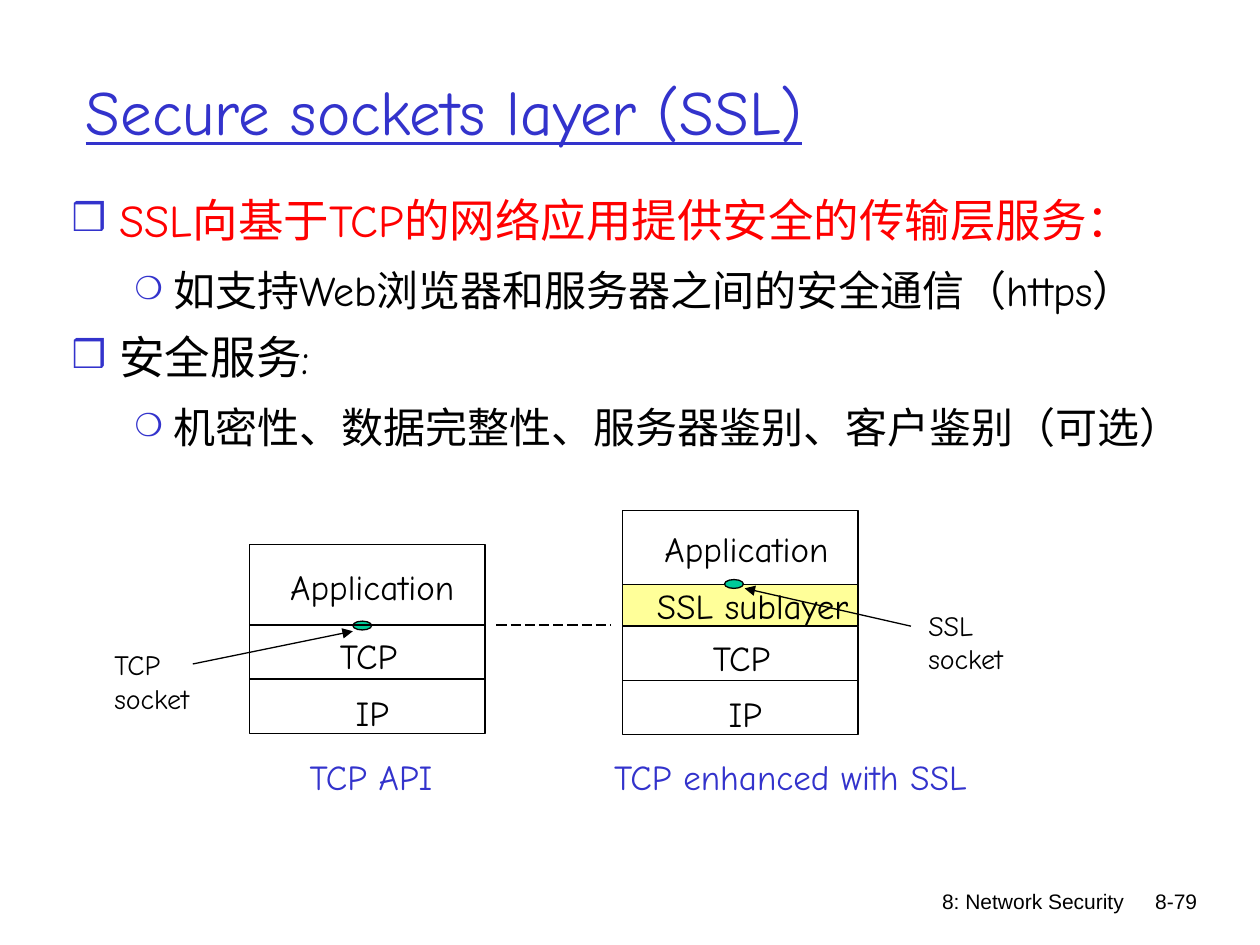
from lxml import etree
from pptx import Presentation, util as u
from pptx.dml.color import RGBColor
from pptx.enum import dml, shapes, text
from pptx.oxml.ns import qn

CELL = u.Inches(0.1)
BLACK, BLUE, RED, YELLOW, GREEN = "000000", "3333CC", "FF0000", "FFFF99", "00CC99"
HAND, PLAIN = "Comic Neue", "Arial"
LEFT, CENTER, RIGHT = text.PP_ALIGN.LEFT, text.PP_ALIGN.CENTER, text.PP_ALIGN.RIGHT
LABEL_WIDTHS = {"Application": 15.4, "SSL sublayer": 17.6, "TCP": 7.2, "IP": 6}
LABEL_HEIGHT = 4.4


def cells(*counts):
    """Turn counts of grid cells into lengths."""
    return [round(count * CELL) for count in counts]


def color(value):
    """Make a colour from a hex string."""
    return RGBColor.from_string(value)


def format_text(paragraph, words, size=20, font=HAND, ink=BLACK, align=LEFT, underline=None):
    """Write one formatted run into a paragraph."""
    paragraph.alignment = align
    run = paragraph.add_run()
    run.text = words
    run.font.size = u.Pt(size)
    run.font.name = font
    run.font.underline = underline
    run.font.color.rgb = color(ink)


def add_text(slide, box, lines, wrap=False, **style):
    """Place a text box with one paragraph for each line."""
    frame = slide.shapes.add_textbox(*cells(*box)).text_frame
    frame.word_wrap = wrap
    for index, line in enumerate(lines):
        paragraph = frame.add_paragraph() if index else frame.paragraphs[0]
        format_text(paragraph, line, **style)


def add_block(slide, preset, box, fill=None):
    """Draw a thinly outlined shape, filled on request."""
    block = slide.shapes.add_shape(preset, *cells(*box))
    block.shadow.inherit = False
    block.line.color.rgb = color(BLACK)
    block.line.width = u.Pt(0.75)
    if fill:
        block.fill.solid()
        block.fill.fore_color.rgb = color(fill)
    else:
        block.fill.background()


def add_line(slide, start, end, arrow=False, dash=None):
    """Draw a straight line, with an arrowhead at its end on request."""
    line = slide.shapes.add_connector(shapes.MSO_CONNECTOR.STRAIGHT, *cells(*start, *end))
    line.line.color.rgb = color(BLACK)
    line.line.width = u.Pt(0.75)
    if dash:
        line.line.dash_style = dash
    if arrow:
        etree.SubElement(line.line._get_or_add_ln(), qn("a:tailEnd"), type="triangle")
    etree.SubElement(line._element.spPr, qn("a:effectLst"))


def add_bullet(paragraph, mark, percent, margin, indent):
    """Give a paragraph a blue bullet and a hanging indent."""
    properties = paragraph._p.get_or_add_pPr()
    properties.set("marL", str(u.Inches(margin)))
    properties.set("indent", str(-u.Inches(indent)))
    tint = etree.SubElement(properties, qn("a:buClr"))
    etree.SubElement(tint, qn("a:srgbClr"), val=BLUE)
    etree.SubElement(properties, qn("a:buSzPct"), val=str(percent * 1000))
    etree.SubElement(properties, qn("a:buFont"), typeface=HAND)
    etree.SubElement(properties, qn("a:buChar"), char=mark)


def add_title(slide, box, words):
    """Fill and place the title placeholder."""
    title = slide.shapes.title
    title.left, title.top, title.width, title.height = cells(*box)
    title.text_frame.auto_size = text.MSO_AUTO_SIZE.NONE
    title.text_frame.vertical_anchor = text.MSO_ANCHOR.MIDDLE
    format_text(title.text_frame.paragraphs[0], words, size=36, ink=BLUE, underline=True)


def add_outline(slide, box, points):
    """Write the two-level bullet list."""
    frame = slide.shapes.add_textbox(*cells(*box)).text_frame
    frame.word_wrap = True
    for index, (level, words, ink) in enumerate(points):
        paragraph = frame.add_paragraph() if index else frame.paragraphs[0]
        paragraph.level = level
        paragraph.line_spacing = u.Pt(33)
        if index:
            paragraph.space_before = u.Pt(6)
        add_bullet(paragraph, *(("❍", 75, 0.81, 0.31) if level else ("❒", 85, 0.38, 0.38)))
        format_text(paragraph, words, size=24 if level else 26, ink=ink)


def add_stack(slide, box, layers, caption, caption_width, caption_shift):
    """Draw a protocol stack of layers downwards, with a caption below."""
    left, top, width, height = box
    middle = left + width / 2
    layer_top = top
    for name, layer_height, fill, drop, shift in layers:
        add_block(slide, shapes.MSO_SHAPE.RECTANGLE, (left, layer_top, width, layer_height), fill)
        label_width = LABEL_WIDTHS[name]
        label = (middle + shift - label_width / 2, layer_top + drop, label_width, LABEL_HEIGHT)
        add_text(slide, label, [name], align=CENTER)
        layer_top += layer_height
    caption_box = (middle + caption_shift - caption_width / 2, top + height + 1.2,
                   caption_width, LABEL_HEIGHT)
    add_text(slide, caption_box, [caption], ink=BLUE, align=CENTER)


def add_socket(slide, dot, arrow_start, arrow_end, label_box, protocol):
    """Mark a socket on a stack, with its label and arrow."""
    add_block(slide, shapes.MSO_SHAPE.OVAL, (*dot, 1.5, 0.7), GREEN)
    add_line(slide, arrow_start, arrow_end, arrow=True)
    add_text(slide, label_box, [protocol, "socket"], wrap=True, size=16)


def add_footer(slide, box, section, number):
    """Write the section name and page number at the right."""
    left, top, width, height = box
    add_text(slide, (left, top, 31.7, height), [section], True, size=12, font=PLAIN, align=RIGHT)
    add_text(slide, (left + width - 8, top, 8, height), [number], True,
             size=12, font=PLAIN, align=RIGHT)


def main():
    """Build and save the slide."""
    deck = Presentation()
    deck.slide_width, deck.slide_height = cells(100, 75)
    slide = deck.slides.add_slide(deck.slide_layouts[5])
    add_title(slide, (5.8, 2.5, 85, 12.5), "Secure sockets layer (SSL)")
    add_outline(slide, (4.7, 14.5, 92.2, 22.1), [
        (0, "SSL向基于TCP的网络应用提供安全的传输层服务：", RED),
        (1, "如支持Web浏览器和服务器之间的安全通信（https）", BLACK),
        (0, "安全服务:", BLACK),
        (1, "机密性、数据完整性、服务器鉴别、客户鉴别（可选）", BLACK),
    ])
    transport = [("TCP", 4.3, None, 0.3, 0.1), ("IP", 4.3, None, 0.5, 0.4)]
    add_socket(slide, (28, 49.3), (15.3, 52.7), (28, 50.1), (8.1, 50.9, 11.4, 6.4), "TCP")
    add_stack(slide, (19.8, 43.2, 18.7, 15.1),
              [("Application", 6.4, None, 1.2, 0.4)] + transport, "TCP API", 16, 0.3)
    add_stack(slide, (49.4, 40.5, 18.7, 17.8),
              [("Application", 5.9, None, 0.9, 0.5),
               ("SSL sublayer", 3.3, YELLOW, -0.5, 1)] + transport,
              "TCP enhanced with SSL", 31, 4)
    add_socket(slide, (57.5, 46), (72.3, 49.7), (59.1, 46.7), (72.7, 47.8, 8, 6.4), "SSL")
    add_line(slide, (39.4, 49.6), (48.5, 49.6), dash=dml.MSO_LINE.LONG_DASH)
    add_footer(slide, (58.5, 70, 37.5, 3.2), "8: Network Security", "8-79")
    deck.save("out.pptx")


if __name__ == "__main__":
    main()
